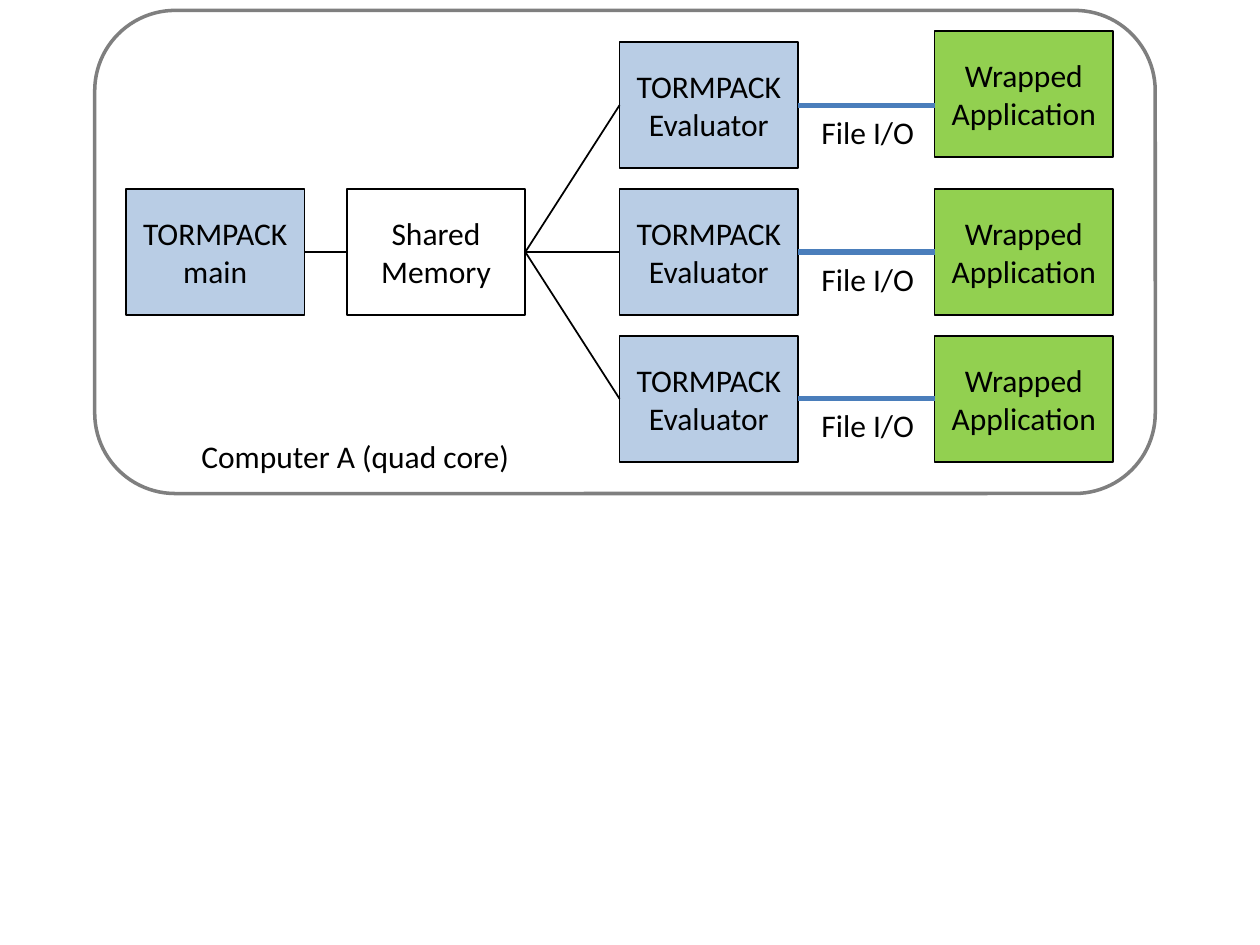
from pptx import Presentation
from pptx.dml.color import RGBColor
from pptx.enum.shapes import MSO_CONNECTOR, MSO_SHAPE
from pptx.enum.text import MSO_ANCHOR, MSO_AUTO_SIZE, PP_ALIGN
from pptx.oxml.ns import qn
from pptx.util import Cm, Pt

RECTANGLE = MSO_SHAPE.RECTANGLE
ROUNDED = MSO_SHAPE.ROUNDED_RECTANGLE
STRAIGHT = MSO_CONNECTOR.STRAIGHT
CENTER, LEFT = PP_ALIGN.CENTER, PP_ALIGN.LEFT
MIDDLE = MSO_ANCHOR.MIDDLE
FIT_SHAPE = MSO_AUTO_SIZE.SHAPE_TO_FIT_TEXT

COLORS = {
    "white": "FFFFFF",
    "black": "000000",
    "frame": "7F7F7F",
    "solver": "B9CDE5",
    "application": "92D050",
    "file_io": "4A7EBB",
}
LEFT_SIDE, RIGHT_SIDE = 1, 3
BOX_WIDTH, BOX_HEIGHT = 3.6, 2.54
MAIN_X, MEMORY_X, EVALUATOR_X, APPLICATION_X = 2.54, 6.99, 12.49, 18.84
FIRST_ROW_Y, ROW_PITCH = 0.85, 2.96
ROWS = [FIRST_ROW_Y + row * ROW_PITCH for row in range(3)]
FIRST_APPLICATION_Y = 0.63


def color(name):
    return RGBColor.from_string(COLORS[name])


def format_text(text_frame, alignment):
    for paragraph in text_frame.paragraphs:
        paragraph.alignment = alignment
        for run in paragraph.runs:
            run.font.name = "Calibri"
            run.font.size = Pt(18)
            run.font.color.rgb = color("black")


def add_outlined(slide, kind, left, top, width, height, fill, line, weight):
    shape = slide.shapes.add_shape(kind, Cm(left), Cm(top), Cm(width), Cm(height))
    shape.shadow.inherit = False
    shape.fill.solid()
    shape.fill.fore_color.rgb = color(fill)
    shape.line.color.rgb = color(line)
    shape.line.width = Pt(weight)
    return shape


def add_box(slide, text, left, top, fill):
    box = add_outlined(slide, RECTANGLE, left, top, BOX_WIDTH, BOX_HEIGHT,
                       fill, "black", 1)
    box.text_frame.text = text
    box.text_frame.word_wrap = True
    box.text_frame.vertical_anchor = MIDDLE
    format_text(box.text_frame, CENTER)
    return box


def add_label(slide, text, left, top, width):
    label = slide.shapes.add_textbox(Cm(left), Cm(top), Cm(width), Cm(1.02))
    label.text_frame.text = text
    label.text_frame.word_wrap = False
    label.text_frame.auto_size = FIT_SHAPE
    format_text(label.text_frame, LEFT)


def add_link(slide, start, end, line="black", weight=1, end_y=None):
    """Join two boxes side to side; end_y leaves the end free at that height."""
    y = Cm(0) if end_y is None else Cm(end_y)
    link = slide.shapes.add_connector(STRAIGHT, start.left, y, end.left, y)
    link.begin_connect(start, RIGHT_SIDE)
    if end_y is None:
        link.end_connect(end, LEFT_SIDE)
    link.line.color.rgb = color(line)
    link.line.width = Pt(weight)
    properties = link._element.spPr
    properties.append(properties.makeelement(qn("a:effectLst"), {}))


def main():
    presentation = Presentation()
    presentation.slide_width, presentation.slide_height = Cm(25.4), Cm(19.05)
    slide = presentation.slides.add_slide(presentation.slide_layouts[6])

    add_outlined(slide, ROUNDED, 1.91, 0.21, 21.38, 9.74, "white", "frame", 2)
    add_label(slide, "Computer A (quad core)", 3.81, 8.68, 6.75)
    main_box = add_box(slide, "TORMPACK\nmain", MAIN_X, ROWS[1], "solver")
    memory = add_box(slide, "Shared Memory", MEMORY_X, ROWS[1], "white")
    add_link(slide, main_box, memory)

    for row, top in enumerate(ROWS):
        first = row == 0
        middle = top + BOX_HEIGHT / 2
        evaluator = add_box(slide, "TORMPACK\nEvaluator", EVALUATOR_X, top, "solver")
        application = add_box(slide, "Wrapped Application", APPLICATION_X,
                              FIRST_APPLICATION_Y if first else top, "application")
        add_link(slide, memory, evaluator)
        # The first application sits higher, so its link ends below its middle.
        add_link(slide, evaluator, application, "file_io", 3,
                 end_y=middle if first else None)
        add_label(slide, "File I/O", 16.31, middle + 0.03, 2.45)

    presentation.save("out.pptx")


if __name__ == "__main__":
    main()
